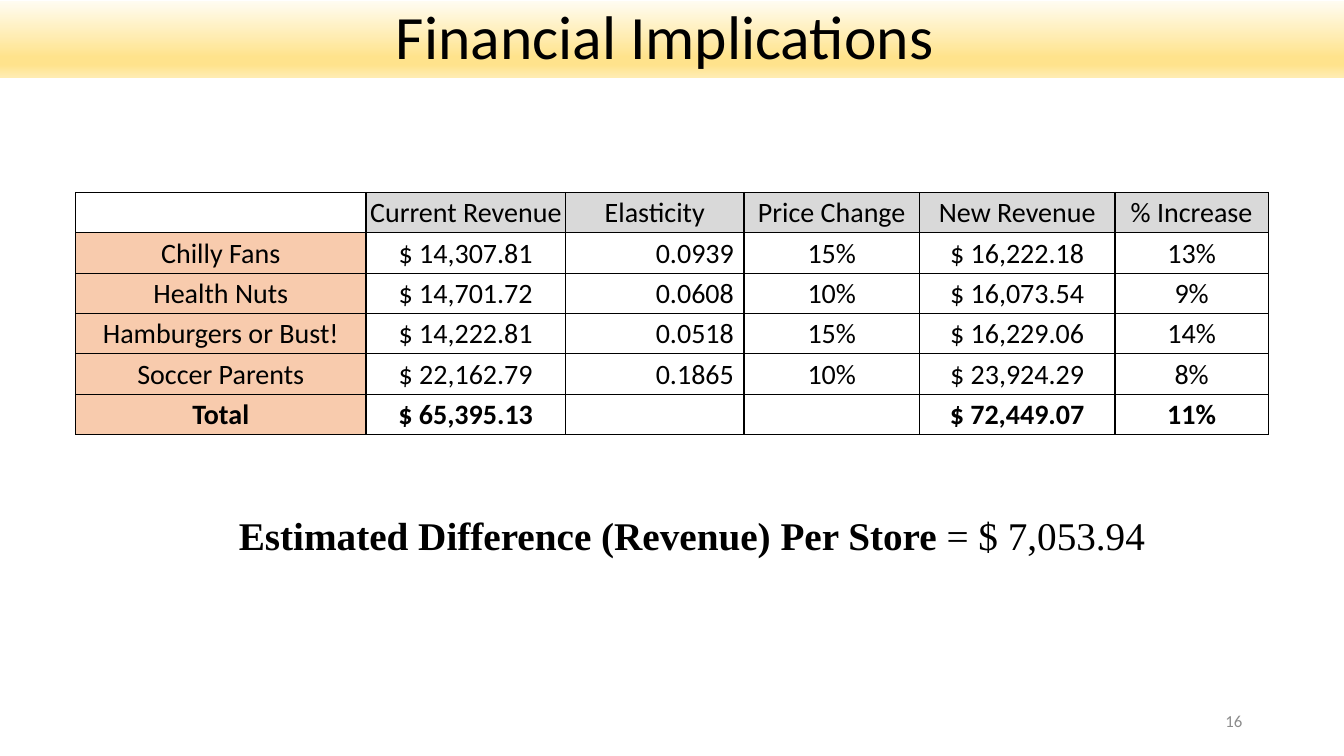
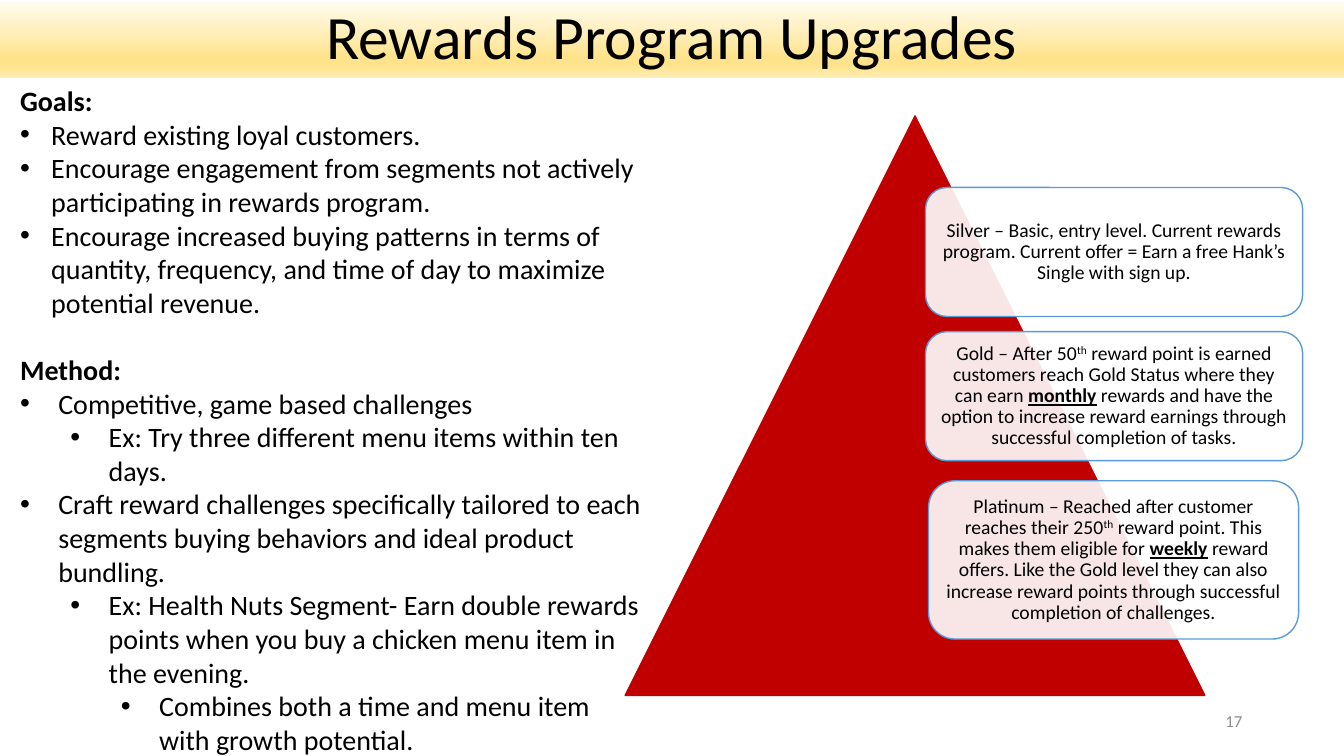
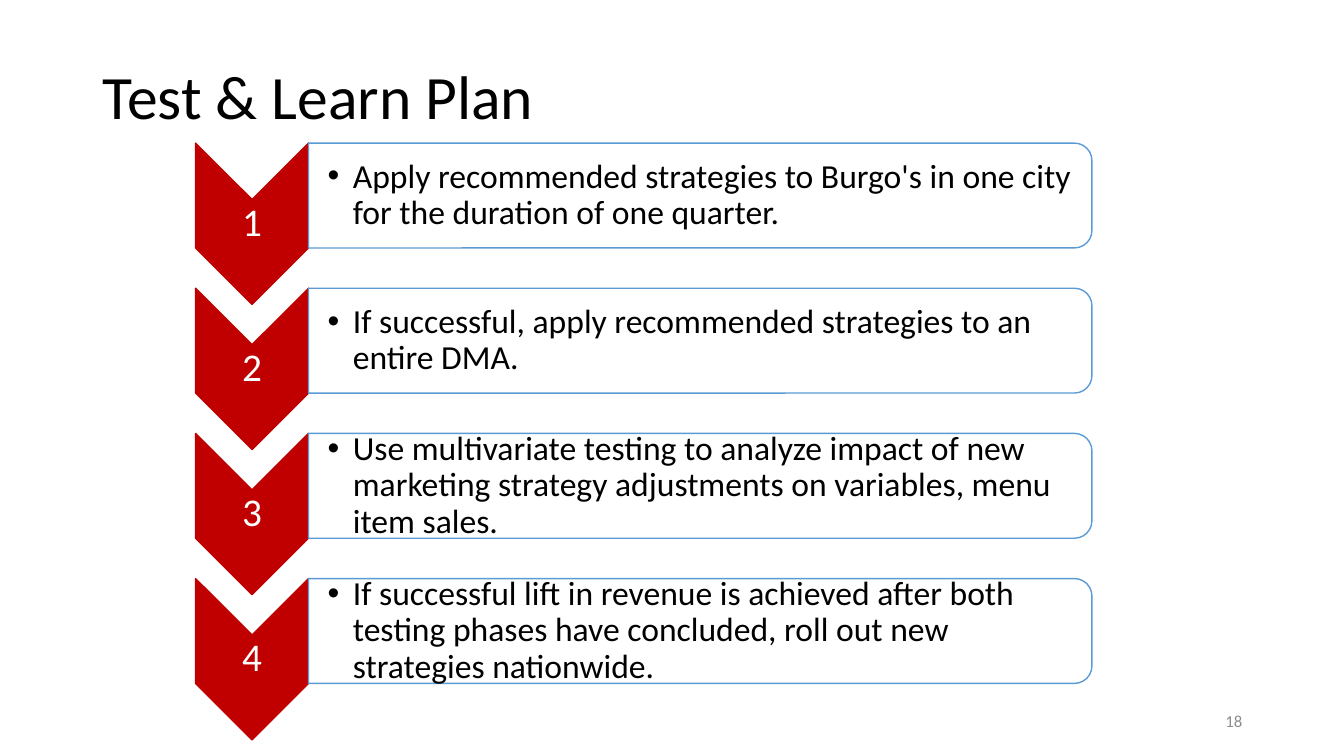
from lxml import etree
from pptx import Presentation
from pptx import util as u
from pptx.dml import color
from pptx.enum import shapes, text
from pptx.oxml import ns

BLACK, WHITE, GREY = "000000", "FFFFFF", "8C8C8C"
RED, BLUE, PEACH, HEADER_GREY = "C00000", "5B9BD5", "F8CBAD", "D9D9D9"
BAND_STOPS = [(0, "FFFCF2"), (74, "FFE38C"), (83, "FFE38C"), (100, "FFECB2")]
LEFT, CENTER, RIGHT = text.PP_ALIGN.LEFT, text.PP_ALIGN.CENTER, text.PP_ALIGN.RIGHT
TOP, MIDDLE = text.MSO_ANCHOR.TOP, text.MSO_ANCHOR.MIDDLE
SHAPE = shapes.MSO_SHAPE
TITLE_SIZE = 44

REVENUE_COLUMNS = [2.88, 1.98, 1.77, 1.74, 1.94, 1.52]
REVENUE_ROWS = [
    ["", "Current Revenue", "Elasticity", "Price Change", "New Revenue", "% Increase"],
    ["Chilly Fans", "$ 14,307.81", "0.0939", "15%", "$ 16,222.18", "13%"],
    ["Health Nuts", "$ 14,701.72", "0.0608", "10%", "$ 16,073.54", "9%"],
    ["Hamburgers or Bust!", "$ 14,222.81", "0.0518", "15%", "$ 16,229.06", "14%"],
    ["Soccer Parents", "$ 22,162.79", "0.1865", "10%", "$ 23,924.29", "8%"],
    ["Total", "$ 65,395.13", "", "", "$ 72,449.07", "11%"],
]
GOALS = [
    "Reward existing loyal customers.",
    "Encourage engagement from segments not actively participating in rewards program.",
    "Encourage increased buying patterns in terms of quantity, frequency, and time of day "
    "to maximize potential revenue.",
]
METHODS = [
    (0, "Competitive, game based challenges"),
    (1, "Ex: Try three different menu items within ten days."),
    (0, "Craft reward challenges specifically tailored to each segments buying behaviors "
        "and ideal product bundling."),
    (1, "Ex: Health Nuts Segment- Earn double rewards points when you buy a chicken menu "
        "item in the evening."),
    (2, "Combines both a time and menu item with growth potential."),
]
TIERS = [
    ((9.18, 1.86, 3.74, 1.28), [
        ("Silver – Basic, entry level. Current rewards program. Current offer = Earn a free "
         "Hank’s Single with sign up.", "")]),
    ((9.18, 3.29, 3.74, 1.28), [
        ("Gold – After 50", ""), ("th", "^"),
        (" reward point is earned customers reach Gold Status where they can earn ", ""),
        ("monthly", "bu"),
        (" rewards and have the option to increase reward earnings through successful "
         "completion of tasks.", "")]),
    ((9.21, 4.77, 3.67, 1.57), [
        ("Platinum – Reached after customer reaches their 250", ""), ("th", "^"),
        (" reward point. This makes them eligible for ", ""), ("weekly", "bu"),
        (" reward offers. Like the Gold level they can also increase reward points through "
         "successful completion of challenges.", "")]),
]
STEPS = [
    "Apply recommended strategies to Burgo's in one city for the duration of one quarter.",
    "If successful, apply recommended strategies to an entire DMA.",
    "Use multivariate testing to analyze impact of new marketing strategy adjustments on "
    "variables, menu item sales.",
    "If successful lift in revenue is achieved after both testing phases have concluded, "
    "roll out new strategies nationwide.",
]


def rgb(value):
    """Turn a hex string into a colour."""
    return color.RGBColor.from_string(value)


def add_element(parent, tag, **attributes):
    """Append a drawing element to a parent."""
    element = etree.SubElement(parent, ns.qn(tag))
    for name, value in attributes.items():
        element.set(name, str(value))
    return element


def inches(box):
    """Convert a box of numbers to lengths."""
    return [u.Inches(value) for value in box]


def write(paragraph, runs, size, hex_color=BLACK, font="Calibri", align=LEFT, spacing=None):
    """Fill a paragraph with runs given as (words, flags): b bold, u underlined, ^ raised."""
    paragraph.alignment = align
    if spacing:
        paragraph.line_spacing = spacing
    for words, flags in runs:
        run = paragraph.add_run()
        run.text = words
        run.font.size = u.Pt(size)
        run.font.name = font
        run.font.color.rgb = rgb(hex_color)
        run.font.bold = "b" in flags
        run.font.underline = "u" in flags
        if "^" in flags:
            run.font._element.set("baseline", "30000")


def add_bullet(paragraph, margin, hang):
    """Give a paragraph a round bullet with a hanging indent."""
    properties = paragraph._p.get_or_add_pPr()
    properties.set("marL", str(u.Inches(margin)))
    properties.set("indent", str(-u.Inches(hang)))
    add_element(properties, "a:buFont", typeface="Arial")
    add_element(properties, "a:buChar", char="•")


def set_frame(frame, anchor=TOP, insets=(0.1, 0.05, 0.1, 0.05)):
    """Set wrapping, anchor and insets of a text frame."""
    frame.word_wrap = True
    frame.vertical_anchor = anchor
    (frame.margin_left, frame.margin_top,
     frame.margin_right, frame.margin_bottom) = inches(insets)
    return frame


def add_text(slide, box, **frame_style):
    """Add a text box and return its frame."""
    return set_frame(slide.shapes.add_textbox(*inches(box)).text_frame, **frame_style)


def add_shape(slide, kind, box, fill, line=None, opacity=100):
    """Add a flat preset shape."""
    shape = slide.shapes.add_shape(kind, *inches(box))
    shape.shadow.inherit = False
    shape.fill.solid()
    shape.fill.fore_color.rgb = rgb(fill)
    if opacity < 100:
        fill_color = shape._element.spPr.find(ns.qn("a:solidFill"))[0]
        add_element(fill_color, "a:alpha", val=opacity * 1000)
    if line:
        shape.line.color.rgb = rgb(line)
        shape.line.width = u.Pt(1)
    else:
        shape.line.fill.background()
    return shape


def add_turned_shape(slide, kind, box, *style):
    """Add a shape turned by a quarter so that it covers the box."""
    left, top, width, height = box
    shift = (width - height) / 2
    add_shape(slide, kind, (left + shift, top - shift, height, width), *style).rotation = 90


def add_title_band(slide, title):
    """Add the gradient band with a centred title."""
    band = add_shape(slide, SHAPE.RECTANGLE, (0, 0.01, 13.33, 0.76), WHITE)
    solid = band._element.spPr.find(ns.qn("a:solidFill"))
    gradient = etree.Element(ns.qn("a:gradFill"), rotWithShape="1")
    stops = add_element(gradient, "a:gsLst")
    for position, value in BAND_STOPS:
        stop = add_element(stops, "a:gs", pos=position * 1000)
        add_element(stop, "a:srgbClr", val=value)
    add_element(gradient, "a:lin", ang=90 * 60000, scaled=0)
    solid.getparent().replace(solid, gradient)
    frame = set_frame(band.text_frame, MIDDLE)
    write(frame.paragraphs[0], [(title, "")], TITLE_SIZE, align=CENTER, spacing=0.9)


def add_page_number(slide, number):
    """Add the grey page number at the lower right."""
    frame = add_text(slide, (9.42, 6.95, 3, 0.4), anchor=MIDDLE)
    write(frame.paragraphs[0], [(str(number), "")], 12, GREY, align=RIGHT)


def style_cell(cell, fill):
    """Give a cell black borders and a fill, or none."""
    properties = cell._tc.get_or_add_tcPr()
    for side in ("a:lnL", "a:lnR", "a:lnT", "a:lnB"):
        border = add_element(properties, side, w=u.Pt(1))
        add_element(add_element(border, "a:solidFill"), "a:srgbClr", val=BLACK)
    if fill:
        cell.fill.solid()
        cell.fill.fore_color.rgb = rgb(fill)
    else:
        cell.fill.background()


def add_revenue_table(slide, left, top, row_height=0.4):
    """Add the table of revenue by segment."""
    box = (left, top, sum(REVENUE_COLUMNS), row_height * len(REVENUE_ROWS))
    table = slide.shapes.add_table(
        len(REVENUE_ROWS), len(REVENUE_COLUMNS), *inches(box)).table
    table.first_row = table.horz_banding = False
    for column, width in zip(table.columns, REVENUE_COLUMNS):
        column.width = u.Inches(width)
    for row_index, values in enumerate(REVENUE_ROWS):
        table.rows[row_index].height = u.Inches(row_height)
        flags = "b" if values[0] == "Total" else ""
        for column_index, value in enumerate(values):
            cell = table.cell(row_index, column_index)
            is_elasticity = column_index == 2 and row_index > 0
            cell.margin_left = cell.margin_top = u.Inches(0.01)
            cell.margin_right = u.Inches(0.1 if is_elasticity else 0.01)
            cell.margin_bottom = 0
            cell.vertical_anchor = MIDDLE
            if row_index == 0:
                fill = HEADER_GREY if value else None
            else:
                fill = PEACH if column_index == 0 else None
            style_cell(cell, fill)
            write(cell.text_frame.paragraphs[0], [(value, flags)] if value else [], 20,
                  align=RIGHT if is_elasticity else CENTER)


def add_goals_and_methods(slide, box, size=20):
    """Add the two headed bullet lists."""
    frame = add_text(slide, box)
    write(frame.paragraphs[0], [("Goals:", "b")], size)
    for goal in GOALS:
        paragraph = frame.add_paragraph()
        add_bullet(paragraph, 0.31, 0.31)
        write(paragraph, [(goal, "")], size)
    heading = frame.add_paragraph()
    heading.space_before = u.Pt(24)
    write(heading, [("Method:", "b")], size)
    for level, method in METHODS:
        paragraph = frame.add_paragraph()
        paragraph.level = level
        add_bullet(paragraph, 0.38 + 0.5 * level, 0.38)
        write(paragraph, [(method, "")], size)


def add_tier_pyramid(slide, box):
    """Add the triangle and the reward tier cards over it."""
    add_shape(slide, SHAPE.ISOSCELES_TRIANGLE, box, RED, RED)
    for card_box, runs in TIERS:
        card = add_shape(slide, SHAPE.ROUNDED_RECTANGLE, card_box, WHITE, BLUE, 90)
        frame = set_frame(card.text_frame, MIDDLE, (0.06,) * 4)
        write(frame.paragraphs[0], runs, 14, align=CENTER, spacing=0.9)


def add_step(slide, left, top, number, words):
    """Add a numbered chevron and the panel beside it."""
    add_turned_shape(slide, SHAPE.CHEVRON, (left, top, 1.12, 1.6), RED, RED)
    frame = add_text(slide, (left, top + 0.56, 1.12, 0.48), anchor=MIDDLE, insets=(0.02,) * 4)
    write(frame.paragraphs[0], [(str(number), "")], 28, WHITE, align=CENTER, spacing=0.9)
    panel_left = left + 1.12
    add_turned_shape(slide, SHAPE.ROUND_2_SAME_RECTANGLE,
                     (panel_left, top, 7.77, 1.04), WHITE, BLUE, 90)
    frame = add_text(slide, (panel_left, top + 0.05, 7.72, 0.94),
                     anchor=MIDDLE, insets=(0.19, 0.02, 0.02, 0.02))
    add_bullet(frame.paragraphs[0], 0.25, 0.25)
    write(frame.paragraphs[0], [(words, "")], 24, spacing=0.9)


def build_financial_slide(slide):
    """Build the revenue table slide."""
    add_title_band(slide, "Financial Implications ")
    add_revenue_table(slide, 0.75, 1.91)
    frame = add_text(slide, (2.27, 5.02, 9.45, 0.57))
    write(frame.paragraphs[0],
          [("Estimated Difference (Revenue) Per Store ", "b"), ("= $ 7,053.94", "")],
          28, font="Times New Roman")


def build_rewards_slide(slide):
    """Build the rewards program slide."""
    add_title_band(slide, "Rewards Program Upgrades")
    add_goals_and_methods(slide, (0.1, 0.78, 6.41, 6.72))
    add_tier_pyramid(slide, (6.2, 1.15, 5.75, 5.75))


def build_plan_slide(slide):
    """Build the four step plan slide."""
    frame = add_text(slide, (0.92, 0.26, 11.5, 1.45), anchor=MIDDLE)
    write(frame.paragraphs[0], [("Test & Learn Plan", "")], TITLE_SIZE, spacing=0.9)
    for index, words in enumerate(STEPS):
        add_step(slide, 1.94, 1.42 + 1.44 * index, index + 1, words)


def main():
    """Build and save the presentation."""
    presentation = Presentation()
    presentation.slide_width, presentation.slide_height = inches((13.33, 7.5))
    builders = [build_financial_slide, build_rewards_slide, build_plan_slide]
    for number, build in enumerate(builders, 16):
        slide = presentation.slides.add_slide(presentation.slide_layouts[6])
        build(slide)
        add_page_number(slide, number)
    presentation.save("out.pptx")


if __name__ == "__main__":
    main()
